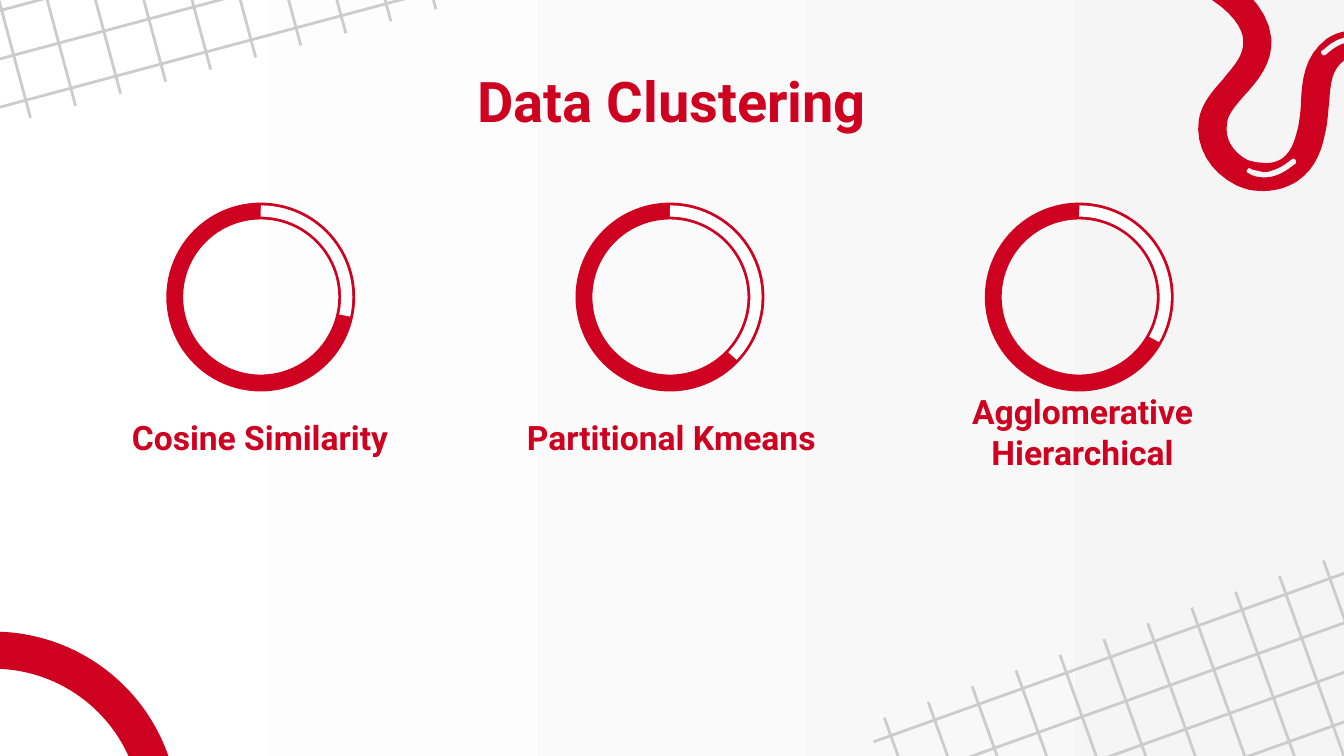
from math import cos, radians, sin

from lxml import etree
from pptx import Presentation
from pptx import util as u
from pptx.dml.color import RGBColor
from pptx.enum import shapes, text
from pptx.oxml.ns import qn

RED = RGBColor(0xCE, 0x02, 0x20)
GREY = RGBColor(0xCC, 0xCC, 0xCC)
WHITE = RGBColor(0xFF, 0xFF, 0xFF)
PALE = RGBColor(0xF5, 0xF5, 0xF5)
FONT = "Roboto"

# The slide is a grid of square cells, 100 columns by 56.25 rows.
COLS, ROWS = 100, 56.25
CELL = u.Inches(0.1)

MESH_GAP, MESH_SPAN = 3.47, 47.8
CURVE_STEPS = 8

# Each outline: a start point, then curves of two control points and an end.
TUBE = [
    ((1.1, -0.4), [
        (0.7, -0.4, 0.4, -0.2, 0.2, 0.1), (-0.1, 0.6, 0, 1.3, 0.5, 1.6),
        (2.7, 2.8, 3.5, 4.2, 3.5, 5), (3.6, 6.1, 2.8, 6.9, 2, 7.9),
        (1.2, 8.8, 0.4, 9.7, 0.2, 10.9), (-0.1, 12.9, 1, 14.8, 3, 15.8),
        (3.5, 16, 4, 16.2, 4.6, 16.2), (5.7, 16.3, 6.7, 16, 7.5, 15.5),
        (9, 14.5, 9.4, 12.9, 9.6, 11.9), (9.8, 11.1, 9.8, 10.3, 9.9, 9.6),
        (10, 8.1, 10.1, 7.2, 11, 6.5), (11.1, 6.4, 11.4, 6.3, 11.8, 6.3),
        (11.8, 6.3, 11.9, 4.3, 11.9, 4.3), (10.8, 4.2, 10, 4.7, 9.7, 4.9),
        (8, 6.2, 7.9, 8, 7.8, 9.5), (7.8, 10.1, 7.7, 10.8, 7.6, 11.4),
        (7.4, 12.2, 7.2, 13.2, 6.4, 13.8), (5.9, 14.1, 5.4, 14.2, 4.8, 14.1),
        (4.5, 14.1, 4.1, 14, 3.8, 13.9), (2.7, 13.3, 2.1, 12.3, 2.3, 11.2),
        (2.3, 10.6, 2.9, 9.9, 3.5, 9.2), (4.5, 8.1, 5.7, 6.8, 5.6, 4.9),
        (5.4, 2.3, 2.7, 0.5, 1.6, -0.2), (1.4, -0.3, 1.3, -0.3, 1.1, -0.4)]),
    ((7.2, 13.8), [
        (7.4, 13.8, 7.5, 14, 7.4, 14.2), (7.3, 14.2, 6.6, 14.9, 5.8, 15.1),
        (5.5, 15.2, 5.2, 15.2, 5, 15.2), (4.6, 15.2, 4.2, 15.1, 3.9, 14.9),
        (3.6, 14.8, 3.8, 14.5, 4, 14.5), (4, 14.6, 4.5, 14.7, 5, 14.8),
        (5.2, 14.8, 5.4, 14.8, 5.6, 14.7), (6.4, 14.5, 7, 13.9, 7.2, 13.8)]),
    ((11.9, 4.7), [
        (11.9, 4.7, 11.9, 5.1, 11.9, 5.1), (11.6, 5.1, 11.3, 5.1, 11.1, 5.2),
        (10.3, 5.4, 9.7, 6.1, 9.6, 6.1), (9.5, 6.2, 9.2, 6, 9.3, 5.8),
        (9.4, 5.8, 10.1, 5, 11, 4.8), (11.3, 4.7, 11.6, 4.7, 11.9, 4.7)]),
]


def cells(*counts):
    return [u.Emu(round(n * CELL)) for n in counts]


def add_shape(slide, kind, box, fill=None, line=None, width=0):
    shape = slide.shapes.add_shape(kind, *cells(*box))
    paint(shape, fill, line, width)
    return shape


def paint(shape, fill=None, line=None, width=0):
    shape.shadow.inherit = False
    if fill is None:
        shape.fill.background()
    else:
        shape.fill.solid()
        shape.fill.fore_color.rgb = fill
    if line is None:
        shape.line.fill.background()
    else:
        shape.line.color.rgb = line
        shape.line.width = u.Pt(width)


def add_line(slide, start, end):
    line = slide.shapes.add_connector(
        shapes.MSO_CONNECTOR.STRAIGHT, *cells(*start, *end))
    line.line.color.rgb = GREY
    line.line.width = u.Pt(1.5)
    etree.SubElement(line._element.spPr, qn("a:effectLst"))


def add_mesh(slide, angle, rungs, rails):
    """Tilted net; rungs and rails each give left, top and count."""
    along = cos(radians(angle)), -sin(radians(angle))
    down = -along[1], along[0]
    for (left, top, count), step, run in ((rungs, along, down),
                                          (rails, down, along)):
        for i in range(count):
            x = left + i * MESH_GAP * step[0]
            y = top + i * MESH_GAP * step[1]
            add_line(slide, (x, y),
                     (x + MESH_SPAN * run[0], y + MESH_SPAN * run[1]))


def trace(start, curves):
    """Points along a chain of cubic curves."""
    for curve in curves:
        knots = [start, curve[:2], curve[2:4], curve[4:]]
        for i in range(1, CURVE_STEPS + 1):
            t = i / CURVE_STEPS
            parts = ((1 - t) ** 3, 3 * t * (1 - t) ** 2,
                     3 * t * t * (1 - t), t ** 3)
            yield tuple(sum(p * k[axis] for p, k in zip(parts, knots))
                        for axis in (0, 1))
        start = curve[4:]


def add_tube(slide, left, top):
    def place(point):
        return cells(left + point[0], top + point[1])

    pen = None
    for start, curves in TUBE:
        if pen is None:
            pen = slide.shapes.build_freeform(*place(start))
        else:
            pen.move_to(*place(start))
        pen.add_line_segments([place(p) for p in trace(start, curves)])
    paint(pen.convert_to_shape(), fill=RED)


def add_hoop(slide, box):
    hoop = add_shape(slide, shapes.MSO_SHAPE.DONUT, box, fill=RED)
    hoop.adjustments[0] = 0.1


def add_dial(slide, box, end):
    """Red ring with a white arc from the top to the end angle."""
    add_shape(slide, shapes.MSO_SHAPE.OVAL, box, line=RED, width=9)
    arc = add_shape(slide, shapes.MSO_SHAPE.ARC, box, line=WHITE, width=6)
    # Arc angles are in 60000ths of a degree, adjustments in 100000ths.
    for i, angle in enumerate((270, end)):
        arc.adjustments[i] = angle * 0.6


def add_label(slide, box, words, size, anchor):
    frame = slide.shapes.add_textbox(*cells(*box)).text_frame
    frame.word_wrap = True
    frame.vertical_anchor = anchor
    frame.margin_left = frame.margin_right = CELL
    frame.margin_top = frame.margin_bottom = CELL
    frame.text = words
    line = frame.paragraphs[0]
    line.alignment = text.PP_ALIGN.CENTER
    font = line.runs[0].font
    font.name, font.size, font.bold = FONT, u.Pt(size), True
    font.color.rgb = RED


def add_backdrop(slide):
    fill = slide.background.fill
    fill.gradient()
    fill.gradient_angle = 0
    for stop, colour in zip(fill.gradient_stops, (WHITE, PALE)):
        stop.color.rgb = colour
    add_mesh(slide, 15, (-10.1, -37.4, 10), (-14.6, 4.7, 3))
    add_hoop(slide, (-14.3, 47, 27.6, 27.6))
    add_tube(slide, 89, -2)
    add_mesh(slide, 19.7, (65.8, 53.4, 11), (65, 55.2, 4))


def main():
    deck = Presentation()
    deck.slide_width, deck.slide_height = cells(COLS, ROWS)
    slide = deck.slides.add_slide(deck.slide_layouts[6])
    add_backdrop(slide)

    middle, bottom = text.MSO_ANCHOR.MIDDLE, text.MSO_ANCHOR.BOTTOM
    add_label(slide, (8.3, 4.3, 83.4, 6.3), "Data Clustering", 30, middle)
    methods = (("Cosine Similarity", 12.42, bottom),
               ("Partitional Kmeans", 43.34, bottom),
               ("Agglomerative Hierarchical", 29.49, middle))
    for i, (name, end, anchor) in enumerate(methods):
        add_dial(slide, (13 + 30.45 * i, 15.7, 12.8, 12.8), end)
        add_label(slide, (6.1 + 30.6 * i, 29.2, 26.5, 5.8), name, 18, anchor)

    deck.save("out.pptx")


if __name__ == "__main__":
    main()
